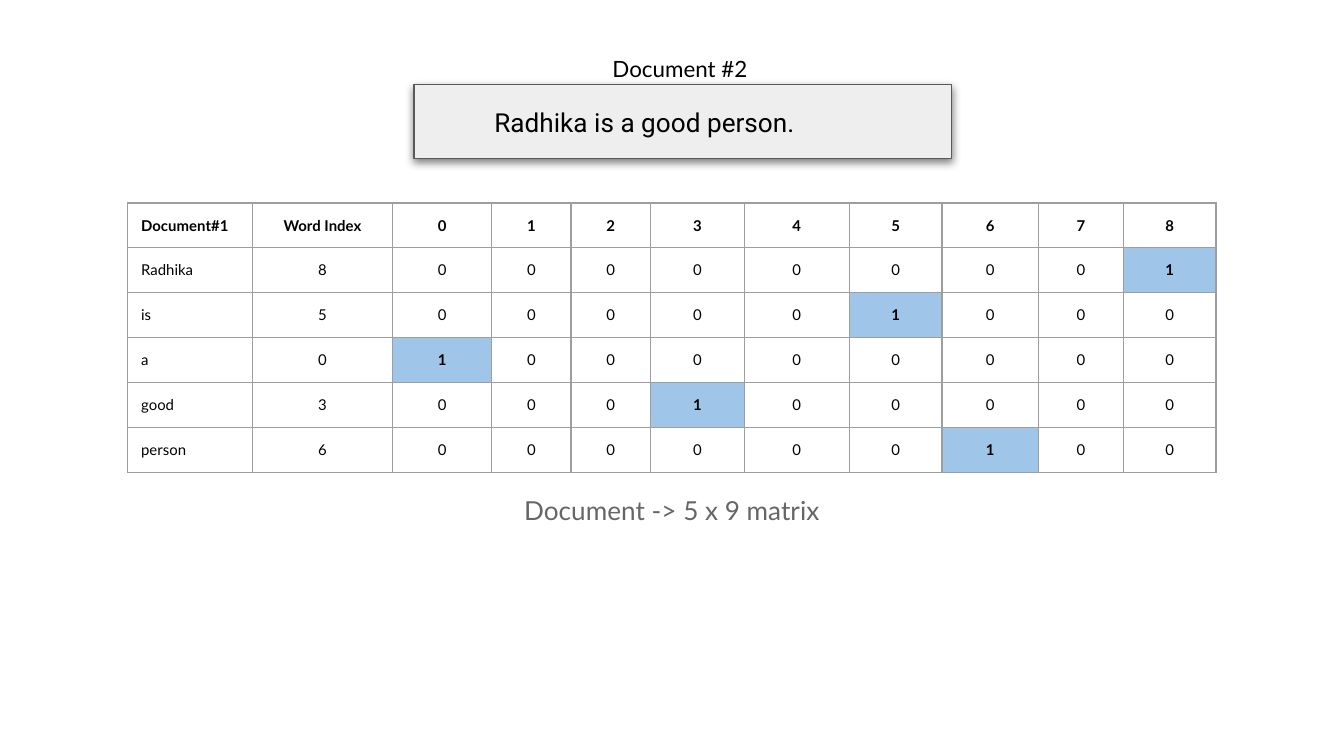
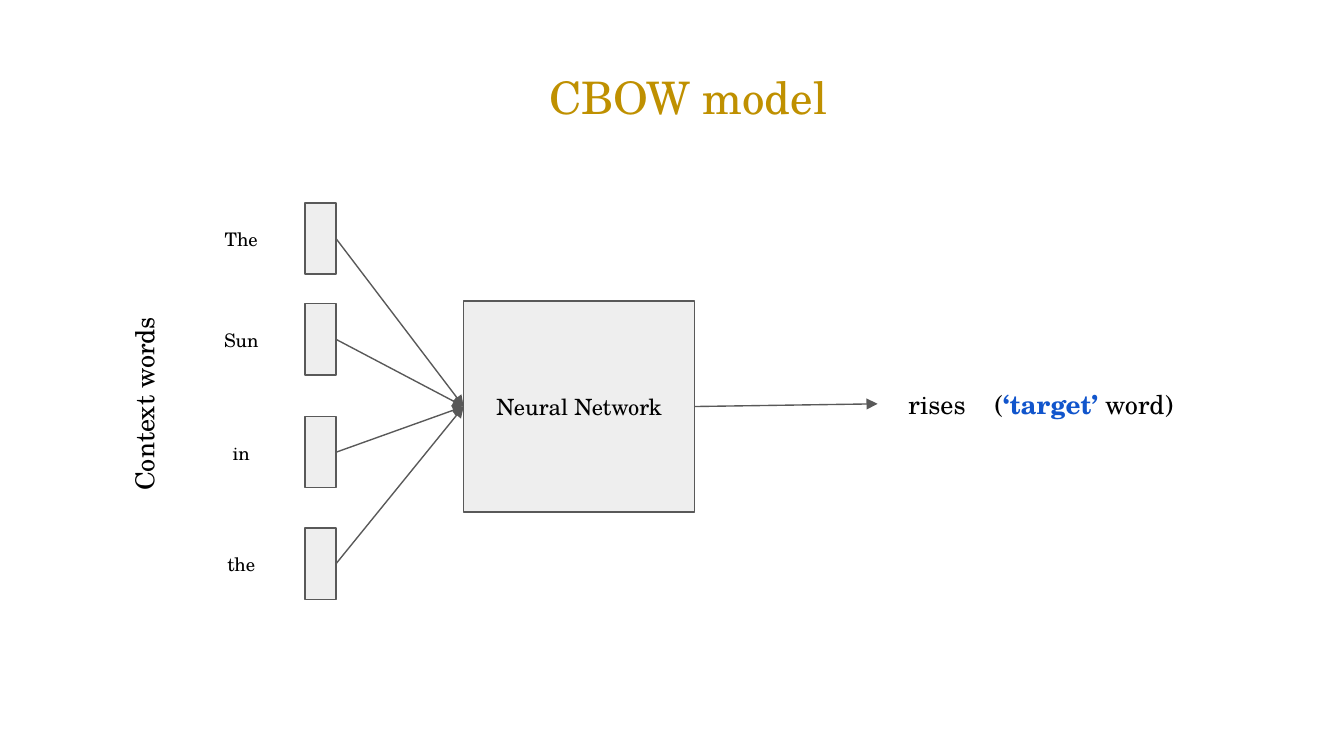
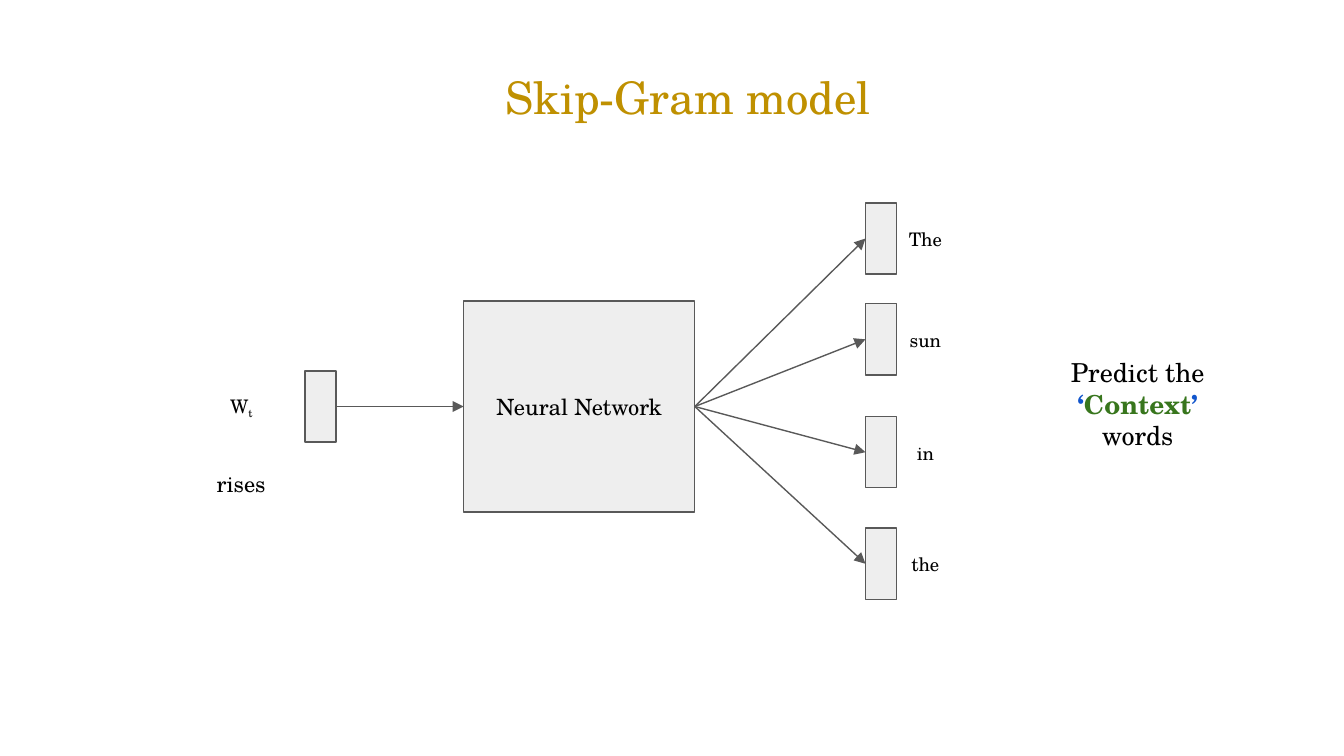
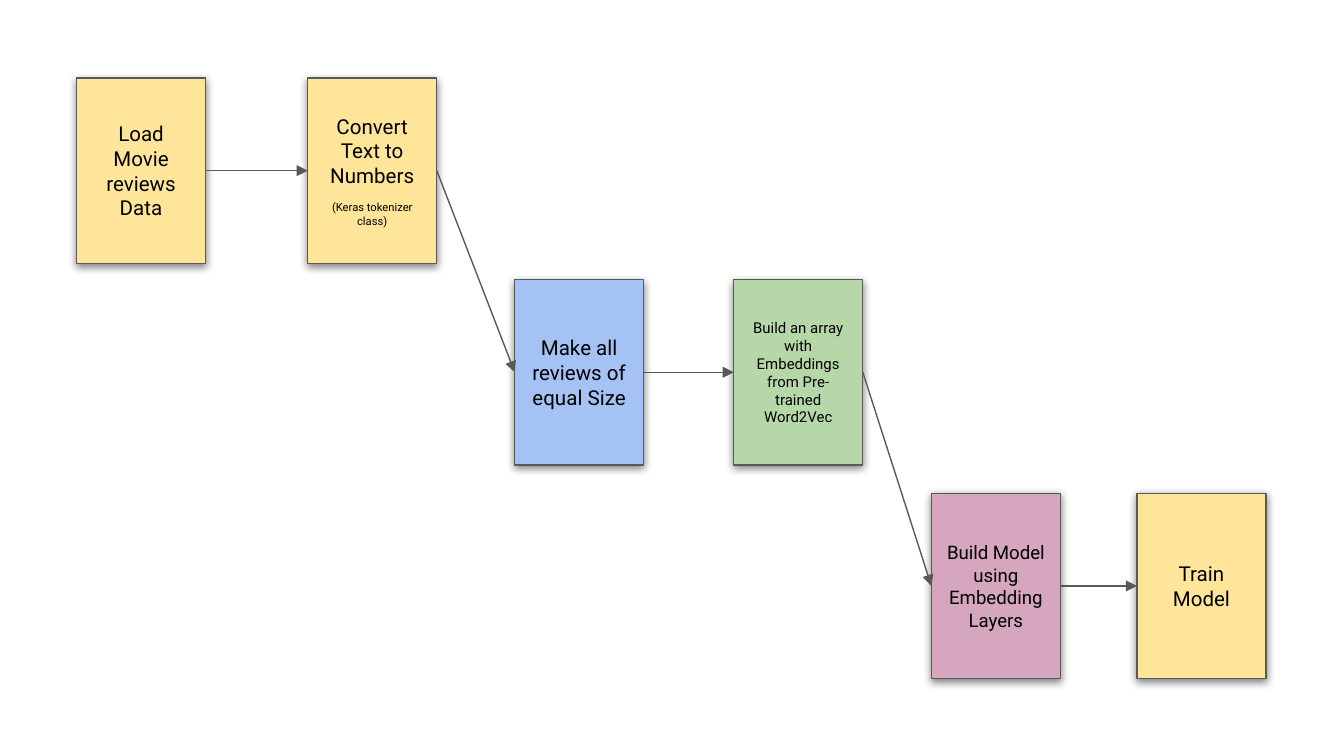
from pptx import Presentation
from pptx.dml.color import RGBColor
from pptx.enum import shapes, text
from pptx.oxml import parse_xml
from pptx.oxml.ns import nsdecls, qn
from pptx.util import Inches, Pt
from lxml import etree

# Shared look
WIDE = 10
HIGH = WIDE * 9 / 16
LATO, ROBOTO, SERIF = "Lato", "Roboto", "TeX Gyre Schola"
BLACK, GRAY, EDGE, GRID = "000000", "666666", "595959", "9E9E9E"
GOLD, PALE, HOT, BLUE, GREEN = "BF9000", "EEEEEE", "9FC5E8", "1155CC", "38761D"
SAND, SKY, MINT, ROSE = "FFE599", "A4C2F4", "B6D7A8", "D5A6BD"
LEFT, MID = text.PP_ALIGN.LEFT, text.PP_ALIGN.CENTER
TOP, MIDDLE = text.MSO_ANCHOR.TOP, text.MSO_ANCHOR.MIDDLE
PAD = 0.1

# Slide 1: one-hot table
WORDS = [("Radhika", 8), ("is", 5), ("a", 0), ("good", 3), ("person", 6)]
WIDTHS = [0.93, 1.04, 0.74, 0.59, 0.59, 0.7, 0.78, 0.69, 0.72, 0.63, 0.69]
VOCAB = 9

# Slides 2 and 3: tokens around a network
TOPS = [1.51, 2.26, 3.1, 3.93]
CONTEXT = ["The", "Sun", "in", "the"]
OUTPUT = ["The", "sun", "in", "the"]
NET = (3.45, 2.24, 1.72, 1.57)
IN_X, OUT_X = 2.27, 6.44
TARGET = [("rises\t(", {}), ("‘target’", dict(color=BLUE, bold=True)), (" word)", {})]
PREDICT = [("Predict the ", {}), ("‘", dict(color=BLUE, bold=True)),
           ("Context", dict(color=GREEN, bold=True)),
           ("’", dict(color=BLUE, bold=True)), (" words", {})]

# Slide 4: steps as left, top, fill, size, paragraphs
STEPS = [
    (0.57, 0.58, SAND, 11, ["Load", "Movie reviews Data"]),
    (2.29, 0.58, SAND, 11, ["Convert Text to Numbers",
                            [("(Keras tokenizer class)", dict(size=6))]]),
    (3.83, 2.08, SKY, 11, ["Make all reviews of equal Size"]),
    (5.46, 2.08, MINT, 8, ["Build an array with Embeddings from Pre-trained Word2Vec"]),
    (6.93, 3.67, ROSE, 10, ["Build Model using Embedding Layers"]),
    (8.46, 3.67, SAND, 11, ["Train Model"]),
]


def rgb(code):
    return RGBColor.from_string(code)


def write(frame, paras, size=10, font=SERIF, color=BLACK, bold=False,
          align=MID, after=0, before=0, indent=0, tab=0):
    """Fill a text frame; a paragraph is a string or a list of (text, format)."""
    for i, para in enumerate([paras] if isinstance(paras, str) else paras):
        p = frame.paragraphs[0] if i == 0 else frame.add_paragraph()
        p.alignment = align
        if after:
            p.space_after = Pt(after)
        if before and i:
            p.space_before = Pt(before)
        props = p._p.get_or_add_pPr()
        if indent:
            props.set("marL", "0")
            props.set("indent", str(Inches(indent)))
        if tab:
            stops = etree.SubElement(props, qn("a:tabLst"))
            etree.SubElement(stops, qn("a:tab"), pos=str(Inches(tab)), algn="l")
        for words, own in [(para, {})] if isinstance(para, str) else para:
            look = dict(size=size, color=color, bold=bold) | own
            run = p.add_run()
            run.text = words
            run.font.name = font
            run.font.size = Pt(look["size"])
            run.font.bold = look["bold"]
            run.font.color.rgb = rgb(look["color"])
            if "base" in look:
                run._r.get_or_add_rPr().set("baseline", str(look["base"] * 1000))


def fit(frame, anchor, left=PAD):
    frame.word_wrap = True
    frame.auto_size = text.MSO_AUTO_SIZE.NONE
    frame.vertical_anchor = anchor
    frame.margin_left = Inches(left)
    frame.margin_top = frame.margin_right = frame.margin_bottom = Inches(PAD)
    return frame


def label(slide, at, paras, anchor=MIDDLE, left=PAD, **look):
    shape = slide.shapes.add_textbox(*map(Inches, at))
    write(fit(shape.text_frame, anchor, left), paras, **look)
    return shape


def box(slide, at, paras=None, fill=PALE, shade=False, **look):
    shape = slide.shapes.add_shape(shapes.MSO_SHAPE.RECTANGLE, *map(Inches, at))
    shape.fill.solid()
    shape.fill.fore_color.rgb = rgb(fill)
    shape.line.color.rgb = rgb(EDGE)
    shape.line.width = Pt(0.75)
    shape.shadow.inherit = False
    if shade:
        glow = shape._element.spPr.find(qn("a:effectLst"))
        glow.append(parse_xml(
            f'<a:outerShdw {nsdecls("a")} blurRad="{Pt(4.5)}" dist="{Pt(1.5)}" '
            f'dir="5400000" algn="bl" rotWithShape="0"><a:srgbClr val="{BLACK}">'
            '<a:alpha val="50000"/></a:srgbClr></a:outerShdw>'))
    if paras:
        write(fit(shape.text_frame, MIDDLE), paras, **look)
    return shape


def arrow(slide, start, end):
    """Join the right side of one shape to the left side of another."""
    line = slide.shapes.add_connector(shapes.MSO_CONNECTOR.STRAIGHT, 0, 0, 0, 0)
    line.begin_connect(start, 3)
    line.end_connect(end, 1)
    line.line.color.rgb = rgb(EDGE)
    line.line.width = Pt(0.75)
    etree.SubElement(line.line._get_or_add_ln(), qn("a:tailEnd"), type="triangle")
    etree.SubElement(line._element.spPr, qn("a:effectLst"))


def token(slide, x, y, name_x, name):
    label(slide, (name_x, y + 0.13, 0.69, 0.28), name)
    return box(slide, (x, y, 0.23, 0.53))


def model(deck, name):
    """Start a model slide: its title and its network box."""
    slide = deck.slides.add_slide(deck.slide_layouts[5])
    title = slide.shapes.title
    title.left, title.top, title.width, title.height = map(Inches, (0.73, 0.48, 8.78, 0.47))
    write(fit(title.text_frame, MIDDLE), name, size=24, color=GOLD, after=16)
    return slide, box(slide, NET, "Neural Network", size=12)


def border(cell):
    props = cell._tc.get_or_add_tcPr()
    for i, side in enumerate(("lnL", "lnR", "lnT", "lnB")):
        props.insert(i, parse_xml(
            f'<a:{side} {nsdecls("a")} w="{Pt(0.75)}"><a:solidFill>'
            f'<a:srgbClr val="{GRID}"/></a:solidFill></a:{side}>'))


def matrix(deck):
    slide = deck.slides.add_slide(deck.slide_layouts[6])
    rows = [["Document#1", "Word Index", *range(VOCAB)]]
    rows += [[word, k, *(int(k == i) for i in range(VOCAB))] for word, k in WORDS]
    grid = slide.shapes.add_table(len(rows), len(WIDTHS), Inches(0.95), Inches(1.51),
                                  Inches(sum(WIDTHS)), Inches(2)).table
    grid.first_row = grid.horz_banding = False
    for col, width in zip(grid.columns, WIDTHS):
        col.width = Inches(width)
    for r, row in enumerate(rows):
        for c, value in enumerate(row):
            cell = grid.cell(r, c)
            hit = r > 0 and c > 1 and value == 1
            cell.margin_left = cell.margin_right = Inches(PAD)
            cell.margin_top = cell.margin_bottom = Inches(PAD)
            if hit:
                cell.fill.solid()
                cell.fill.fore_color.rgb = rgb(HOT)
            else:
                cell.fill.background()
            border(cell)
            write(cell.text_frame, str(value), size=8, font=LATO,
                  bold=hit or r == 0, align=MID if c else LEFT)
    label(slide, (1.03, 3.56, 7.94, 0.47), f"Document -> {len(WORDS)} x {VOCAB} matrix",
          size=14, font=LATO, color=GRAY)
    box(slide, (3.08, 0.63, 4, 0.55), "Radhika is a good person.", shade=True,
        size=14, font=ROBOTO, align=LEFT, indent=0.5)
    label(slide, (3.06, 0.31, 4, 0.32), "Document #2", TOP, size=12, font=LATO)


def cbow(deck):
    slide, net = model(deck, "CBOW model")
    goal = label(slide, (6.53, 2.79, 2.44, 0.43), [TARGET], TOP, left=0.23,
                 size=14, align=LEFT, tab=0.64)
    side = label(slide, (-0.61, 2.79, 3.36, 0.43), "Context words", TOP, size=14)
    side.rotation = 270
    for y, name in zip(TOPS, CONTEXT):
        arrow(slide, token(slide, IN_X, y, 1.45, name), net)
    arrow(slide, net, goal)


def skip(deck):
    slide, net = model(deck, "Skip-Gram model")
    label(slide, (7.76, 2.54, 1.41, 0.93), [PREDICT], size=14)
    label(slide, (1.23, 3.4, 1.13, 0.43), "rises", TOP, size=12)
    word = token(slide, IN_X, 2.76, 1.45, [[("W", {}), ("t", dict(base=-25))]])
    arrow(slide, word, net)
    for y, name in zip(TOPS, OUTPUT):
        arrow(slide, net, token(slide, OUT_X, y, 6.54, name))


def flow(deck):
    slide = deck.slides.add_slide(deck.slide_layouts[6])
    cards = [box(slide, (x, y, 0.96, 1.38), paras, fill, True, size=size, font=ROBOTO,
                 before=7 if isinstance(paras[-1], list) else 0)
             for x, y, fill, size, paras in STEPS]
    for start, end in zip(cards, cards[1:]):
        arrow(slide, start, end)


def main():
    deck = Presentation()
    deck.slide_width, deck.slide_height = Inches(WIDE), Inches(HIGH)
    for build in (matrix, cbow, skip, flow):
        build(deck)
    deck.save("out.pptx")


if __name__ == "__main__":
    main()
